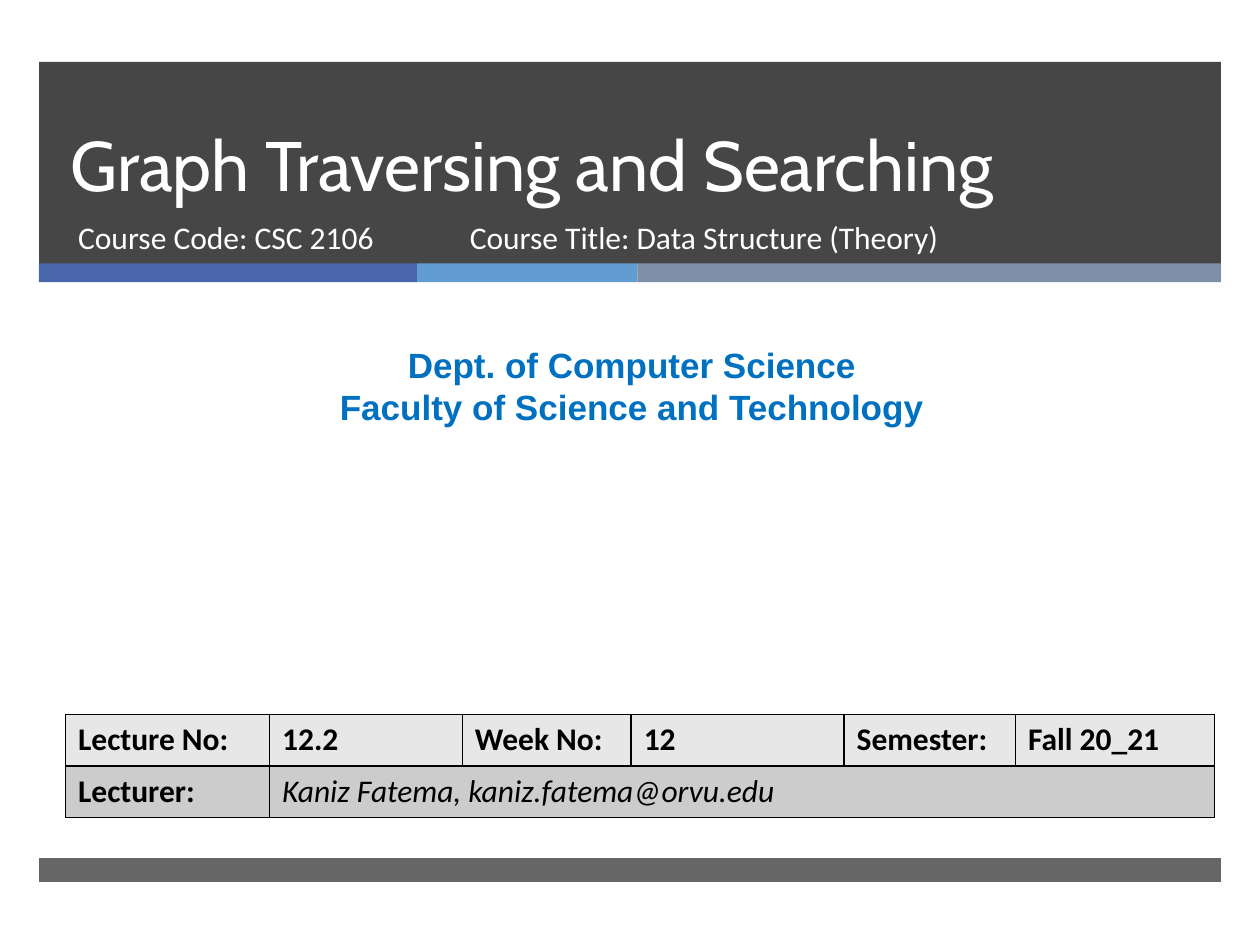
from typing import NamedTuple

from pptx import Presentation
from pptx.dml.color import RGBColor
from pptx.enum.shapes import MSO_SHAPE as Preset
from pptx.enum.text import MSO_ANCHOR as Anchor, MSO_AUTO_SIZE as AutoSize, PP_ALIGN as Align
from pptx.oxml import parse_xml
from pptx.oxml.ns import nsdecls, qn
from pptx.util import Emu, Pt

EMU_PER_PX = 9144  # 100 px to the inch

WHITE = RGBColor(0xFF, 0xFF, 0xFF)
BLACK = RGBColor(0x00, 0x00, 0x00)
CHARCOAL = RGBColor(0x26, 0x26, 0x26)
INDIGO = RGBColor(0x4A, 0x66, 0xAC)
SKY = RGBColor(0x62, 0x9D, 0xD1)
SLATE = RGBColor(0x7F, 0x8F, 0xA9)
DEPARTMENT_BLUE = RGBColor(0x00, 0x70, 0xC0)
LIGHT_ROW = RGBColor(0xE7, 0xE7, 0xE7)
DARK_ROW = RGBColor(0xCC, 0xCC, 0xCC)


class Box(NamedTuple):
    left: int
    top: int
    width: int
    height: int


class Bar(NamedTuple):
    box: Box
    color: RGBColor
    opacity: int = 100


BARS = [
    Bar(Box(31, 49, 938, 161), CHARCOAL, 85),
    Bar(Box(31, 209, 300, 15), INDIGO),
    Bar(Box(331, 209, 175, 15), SKY),
    Bar(Box(506, 209, 463, 15), SLATE),
    Bar(Box(31, 681, 938, 19), CHARCOAL, 70),
]
COLUMN_WIDTHS = [162, 153, 134, 169, 136, 158]
ROW_HEIGHT = 41
LECTURE_CELLS = ["Lecture No:", "12.2", "Week No:", "12", "Semester:", "Fall 20_21"]
LECTURER_CELLS = ["Lecturer:", "Kaniz Fatema, kaniz.fatema@orvu.edu"]


def px(length: int) -> Emu:
    return Emu(length * EMU_PER_PX)


def place(shape, box: Box) -> None:
    shape.left, shape.top, shape.width, shape.height = map(px, box)


def write(frame, *lines: str, size: int = 18, font: str = "Calibri",
          color: RGBColor = WHITE, bold: bool = False, italic: bool = False,
          align=Align.LEFT, line_spacing=None) -> None:
    """Fill a text frame with one formatted paragraph per line."""
    for index, line in enumerate(lines):
        para = frame.add_paragraph() if index else frame.paragraphs[0]
        para.alignment = align
        para.space_before = Pt(0)
        para.line_spacing = line_spacing
        span = para.add_run()
        span.text = line
        span.font.size, span.font.name = Pt(size), font
        span.font.bold, span.font.italic = bold, italic
        span.font.color.rgb = color


def draw_bar(page, bar: Bar) -> None:
    shape = page.shapes.add_shape(Preset.RECTANGLE, *map(px, bar.box))
    shape.shadow.inherit = False
    shape.line.fill.background()
    shape.fill.solid()
    shape.fill.fore_color.rgb = bar.color
    if bar.opacity < 100:
        color = shape.fill._xPr.find(f".//{qn('a:srgbClr')}")
        color.append(parse_xml(f'<a:alpha {nsdecls("a")} val="{bar.opacity * 1000}"/>'))


def fill_placeholder(page, placeholder, box: Box, text: str, anchor, **style) -> None:
    """Set a placeholder's place and text, and bring it in front of the bars."""
    place(placeholder, box)
    frame = placeholder.text_frame
    frame.auto_size, frame.word_wrap = AutoSize.NONE, True
    frame.vertical_anchor = anchor
    write(frame, text, **style)
    page.shapes._spTree.append(placeholder._element)


def add_text(page, box: Box, *lines: str, **style) -> None:
    frame = page.shapes.add_textbox(*map(px, box)).text_frame
    frame.word_wrap = True
    write(frame, *lines, **style)


def format_cell(cell, color: RGBColor) -> None:
    """Give a cell its fill and a thin black line on each side."""
    cell.fill.solid()
    cell.fill.fore_color.rgb = color
    properties = cell._tc.get_or_add_tcPr()
    for index, side in enumerate("LRTB"):
        properties.insert(index, parse_xml(
            f'<a:ln{side} {nsdecls("a")} w="{Pt(1)}"><a:solidFill>'
            f'<a:srgbClr val="{BLACK}"/></a:solidFill></a:ln{side}>'))


def draw_lecture_table(page, left: int, top: int) -> None:
    rows = [(LECTURE_CELLS, LIGHT_ROW), (LECTURER_CELLS, DARK_ROW)]
    box = Box(left, top, sum(COLUMN_WIDTHS), ROW_HEIGHT * len(rows))
    table = page.shapes.add_table(len(rows), len(COLUMN_WIDTHS), *map(px, box)).table
    for column, width in zip(table.columns, COLUMN_WIDTHS):
        column.width = px(width)
    table.cell(1, 1).merge(table.cell(1, len(COLUMN_WIDTHS) - 1))
    for row, (texts, color) in enumerate(rows):
        for column in range(len(COLUMN_WIDTHS)):
            format_cell(table.cell(row, column), color)
        for column, text in enumerate(texts):
            is_lecturer = (row, column) == (1, 1)
            write(table.cell(row, column).text_frame, text, color=BLACK,
                  bold=not is_lecturer, italic=is_lecturer)


def main() -> None:
    deck = Presentation()
    deck.slide_width, deck.slide_height = px(1000), px(750)
    page = deck.slides.add_slide(deck.slide_layouts[0])
    for bar in BARS:
        draw_bar(page, bar)
    title, subtitle = page.placeholders
    fill_placeholder(page, title, Box(46, 49, 854, 119), "Graph Traversing and Searching",
                     Anchor.BOTTOM, size=40, font="Cabin", line_spacing=Pt(46))
    fill_placeholder(page, subtitle, Box(52, 168, 305, 53), "Course Code: CSC 2106", Anchor.TOP)
    add_text(page, Box(8, 268, 987, 77), "Dept. of Computer Science",
             "Faculty of Science and Technology", size=20, font="Arial",
             color=DEPARTMENT_BLUE, bold=True, align=Align.CENTER)
    draw_lecture_table(page, 52, 567)
    add_text(page, Box(363, 168, 455, 53), "Course Title: Data Structure (Theory)")
    deck.save("out.pptx")


if __name__ == "__main__":
    main()
